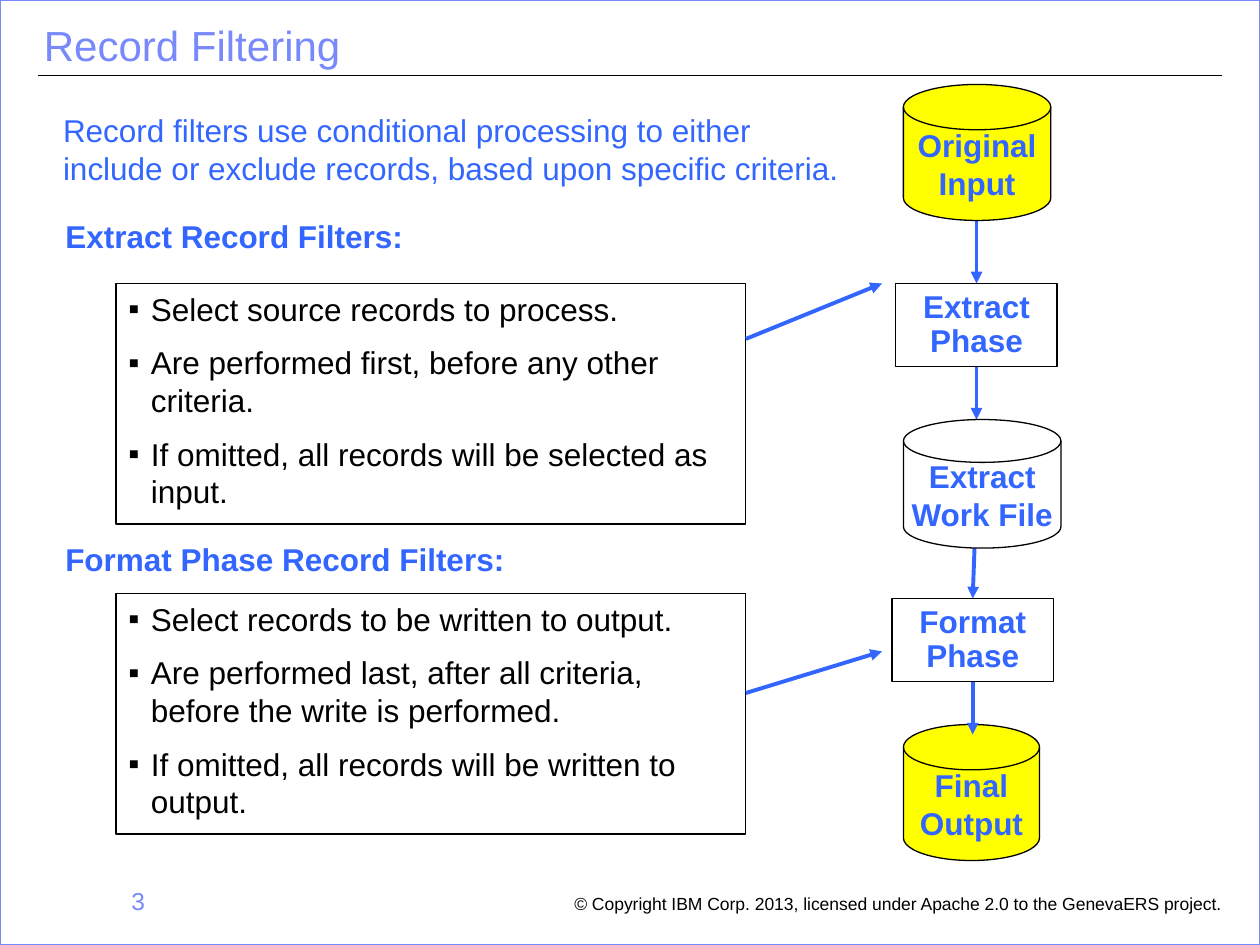
import pptx
import pptx.dml.color
import pptx.enum.shapes
import pptx.enum.text
import pptx.oxml.ns
import pptx.util
from lxml import etree

Inches = pptx.util.Inches
Pt = pptx.util.Pt
Shape = pptx.enum.shapes.MSO_SHAPE
Align = pptx.enum.text.PP_ALIGN
Anchor = pptx.enum.text.MSO_ANCHOR
qn = pptx.oxml.ns.qn

BLUE, LILAC, BLACK, WHITE, YELLOW = "3366FF", "7889FB", "000000", "FFFFFF", "FFFF00"


def rgb(value):
    return pptx.dml.color.RGBColor.from_string(value)


def write(frame, lines, size=18, color=BLUE, bold=False, align=Align.LEFT,
          spacing=1.0, gap=0, bullet=None, anchor=Anchor.TOP, wrap=True):
    frame.word_wrap = wrap
    frame.vertical_anchor = anchor
    for index, line in enumerate(lines):
        paragraph = frame.paragraphs[0] if index == 0 else frame.add_paragraph()
        if bullet:
            properties = paragraph._p.get_or_add_pPr()
            properties.set("marL", str(Inches(0.18)))
            properties.set("indent", str(-Inches(0.18)))
            etree.SubElement(properties, qn("a:buFont"), typeface="Arial")
            etree.SubElement(properties, qn("a:buChar"), char=bullet)
        paragraph.alignment = align
        paragraph.line_spacing = spacing
        paragraph.space_before = Pt(gap if index else 0)
        run = paragraph.add_run()
        run.text = line
        run.font.name = "Arial"
        run.font.size = Pt(size)
        run.font.bold = bold
        run.font.color.rgb = rgb(color)


class FlowSlide:
    """Holds the line style and the current slide, and draws each kind of element."""

    def __init__(self, slide, outline=0.75, arrow=2.25):
        self.slide = slide
        self.outline = outline
        self.arrow_width = arrow

    def text(self, box, *lines, side_inset=0.1, **style):
        frame = self.slide.shapes.add_textbox(*map(Inches, box)).text_frame
        frame.margin_left = frame.margin_right = Inches(side_inset)
        write(frame, lines, **style)

    def shape(self, kind, box, *lines, fill=None, line=BLACK, width=None, **style):
        shape = self.slide.shapes.add_shape(kind, *map(Inches, box))
        shape.shadow.inherit = False
        if fill:
            shape.fill.solid()
            shape.fill.fore_color.rgb = rgb(fill)
        else:
            shape.fill.background()
        shape.line.color.rgb = rgb(line)
        shape.line.width = Pt(width or self.outline)
        write(shape.text_frame, lines, **style)

    def stage(self, kind, box, *lines, fill=WHITE, spacing=1.0):
        self.shape(kind, box, *lines, fill=fill, spacing=spacing, bold=True,
                   align=Align.CENTER, anchor=Anchor.MIDDLE, wrap=False)

    def disk(self, box, *lines, fill=WHITE):
        self.stage(Shape.FLOWCHART_MAGNETIC_DISK, box, *lines, fill=fill)

    def phase(self, left, top, name):
        self.stage(Shape.RECTANGLE, (left, top, 1.28, 0.66), name, "Phase", spacing=0.9)

    def heading(self, top, title):
        self.text((0.42, top, 5.33, 0.4), title, bold=True)

    def bullets(self, top, *lines):
        self.shape(Shape.RECTANGLE, (0.92, top, 5, 1.91), *lines,
                   color=BLACK, gap=9, bullet="▪")

    def line(self, start, end, color=BLACK, width=None):
        connector = self.slide.shapes.add_connector(
            pptx.enum.shapes.MSO_CONNECTOR.STRAIGHT, *map(Inches, start + end))
        connector.line.color.rgb = rgb(color)
        connector.line.width = Pt(width or self.outline)
        etree.SubElement(connector._element.spPr, qn("a:effectLst"))
        return connector

    def arrow(self, start, end):
        connector = self.line(start, end, BLUE, self.arrow_width)
        etree.SubElement(connector.line._get_or_add_ln(), qn("a:tailEnd"), type="triangle")


def main():
    deck = pptx.Presentation()
    deck.slide_width, deck.slide_height = Inches(10), Inches(7.5)
    page = FlowSlide(deck.slides.add_slide(deck.slide_layouts[6]))

    page.line((0.3, 0.6), (9.7, 0.6))
    page.shape(Shape.RECTANGLE, (0, 0, 10, 7.5), line=LILAC, width=1)
    page.text((4.46, 7.06, 5.38, 0.25),
              "© Copyright IBM Corp. 2013, licensed under Apache 2.0 to the GenevaERS project.",
              size=10, color=BLACK, spacing=0.9, wrap=False)
    page.text((0.25, 6.98, 1, 0.52), "3", size=14, color=LILAC, align=Align.RIGHT)
    page.text((0.25, 0.15, 8.55, 0.6), "Record Filtering", size=24, color=LILAC, spacing=0.9)
    page.text((0.5, 0.83, 6.25, 0.7),
              "Record filters use conditional processing to either include or exclude "
              "records, based upon specific criteria.", side_inset=0)

    page.heading(1.67, "Extract Record Filters:")
    page.bullets(2.25, "Select source records to process.",
                 "Are performed first, before any other criteria.",
                 "If omitted, all records will be selected as input.")
    page.heading(4.24, "Format Phase Record Filters:")
    page.bullets(4.71, "Select records to be written to output.",
                 "Are performed last, after all criteria, before the write is performed.",
                 "If omitted, all records will be written to output.")

    page.arrow((7.75, 1.58), (7.75, 2.25))
    page.disk((7.17, 0.67, 1.17, 1.08), "Original", "Input", fill=YELLOW)
    page.disk((7.17, 5.75, 1.08, 1.08), "Final", "Output", fill=YELLOW)
    for start, end in (
        ((5.92, 2.69), (7, 2.25)),
        ((5.92, 5.5), (7, 5.17)),
        ((7.75, 2.67), (7.75, 3.33)),
        ((7.72, 5.17), (7.72, 5.83)),
        ((7.75, 3.92), (7.72, 4.75)),
    ):
        page.arrow(start, end)
    page.phase(7.08, 4.75, "Format")
    page.disk((7.17, 3.33, 1.25, 1.02), "Extract", "Work File")
    page.phase(7.11, 2.25, "Extract")

    deck.save("out.pptx")


if __name__ == "__main__":
    main()
